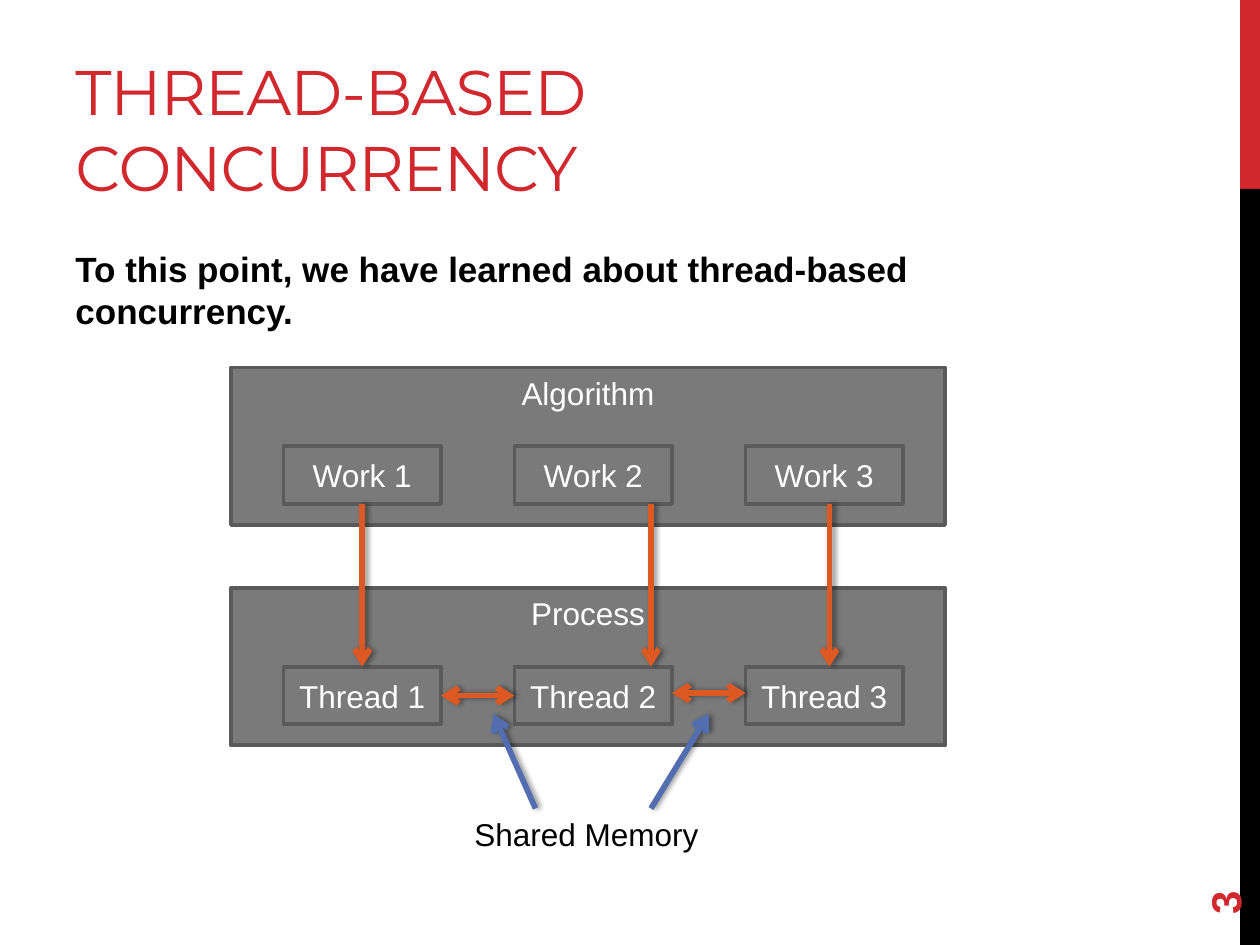
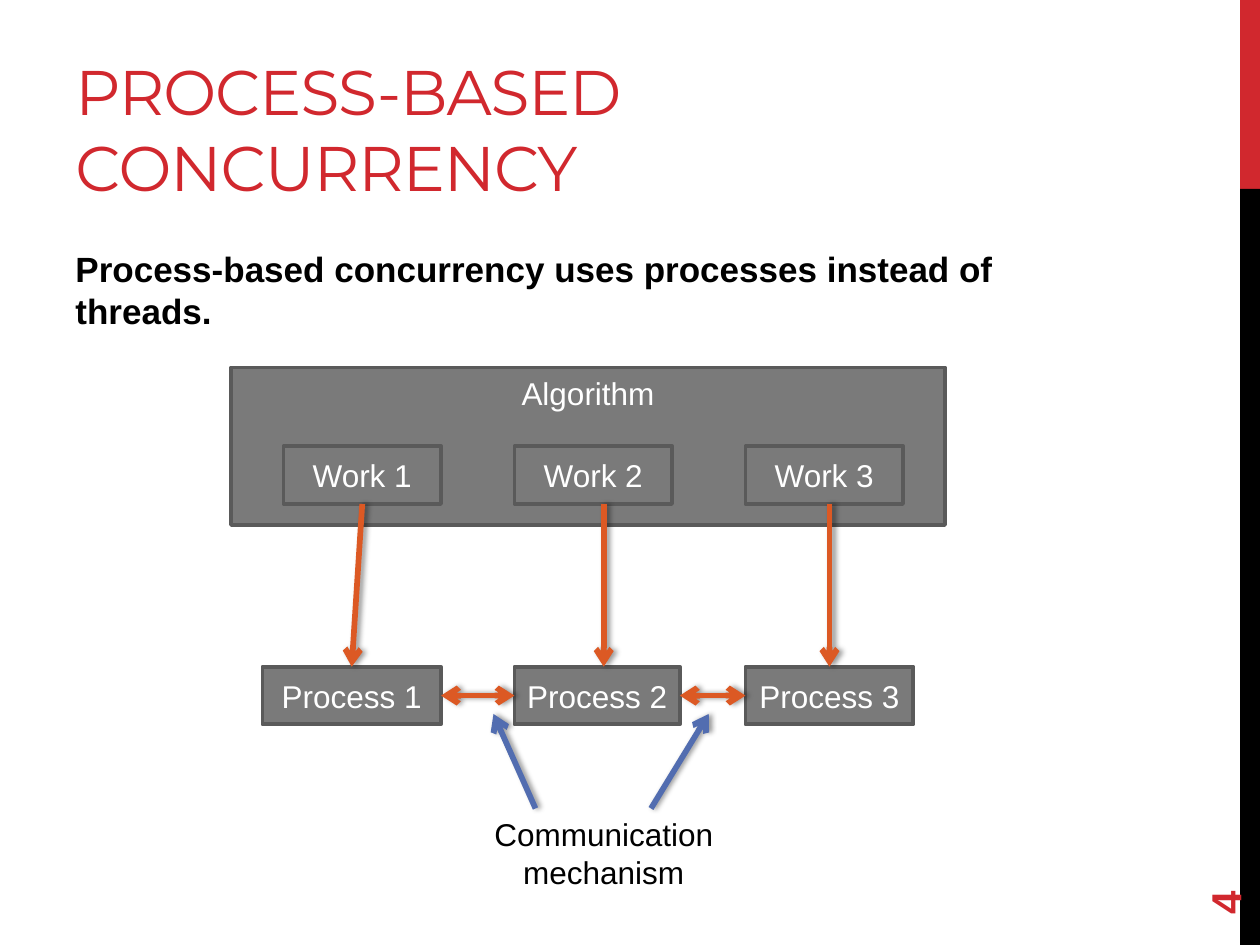
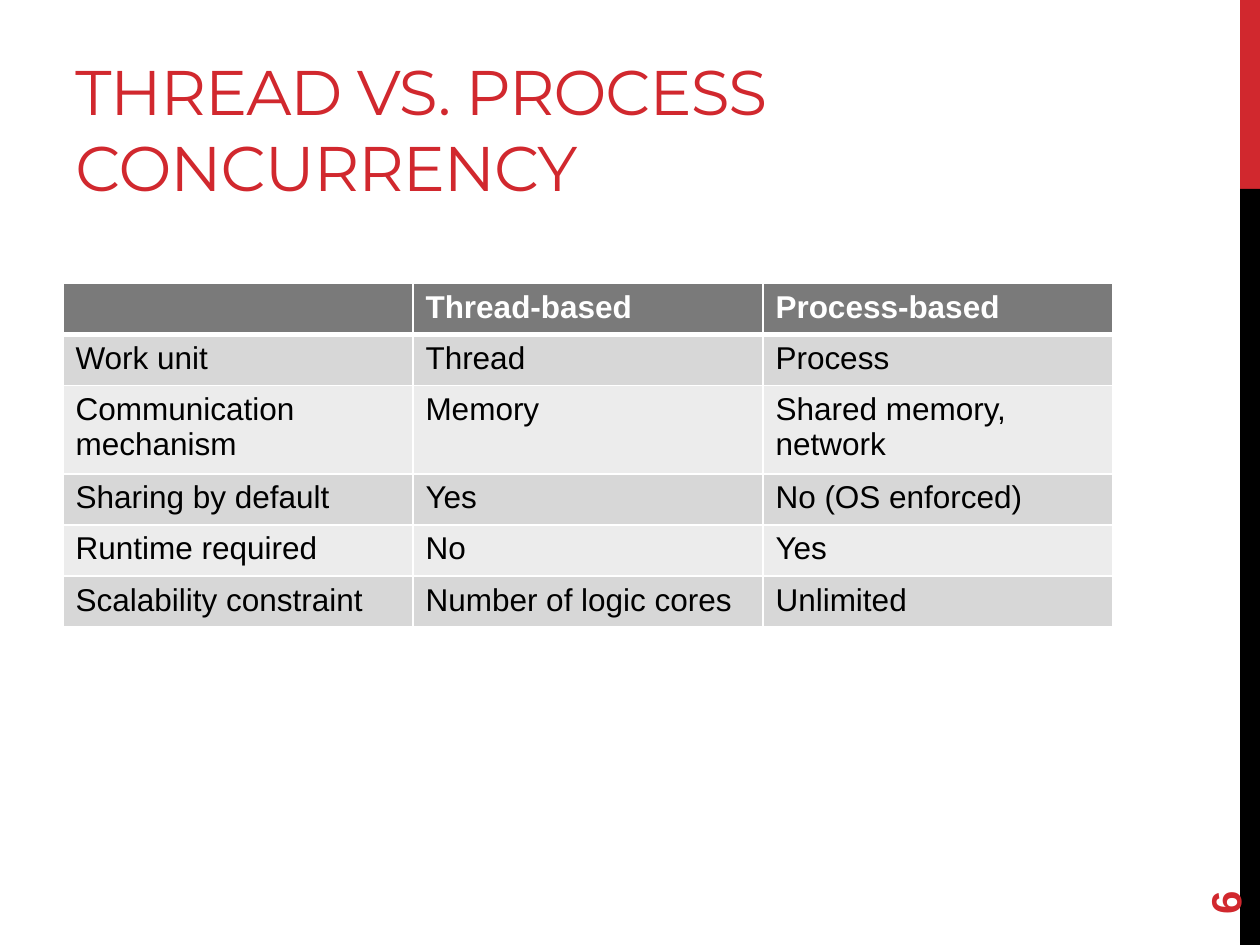
from dataclasses import dataclass
from lxml.etree import SubElement
from pptx import Presentation
from pptx.dml.color import RGBColor
from pptx.enum.shapes import MSO_CONNECTOR, MSO_SHAPE
from pptx.enum.text import MSO_ANCHOR, PP_ALIGN
from pptx.oxml.ns import qn
from pptx.util import Inches, Pt


@dataclass(frozen=True)
class Theme:
    red: str = "D1282E"
    black: str = "000000"
    white: str = "FFFFFF"
    gray: str = "7A7A7A"
    edge: str = "5A5A5A"
    orange: str = "DC5924"
    blue: str = "526DB0"
    bands: tuple = ("D7D7D7", "ECECEC")
    font: str = "Arial"
    display: str = "Montserrat"
    title: int = 36
    number: int = 24
    lead: int = 20
    text: int = 18
    border: float = 2.25
    arrow: float = 3.25


@dataclass(frozen=True)
class Box:
    left: float
    top: float
    width: float
    height: float

    def inner(self, left, top, width, height):
        return Box(self.left + left, self.top + top, width, height)

    def place(self):
        return [unit(n) for n in (self.left, self.top, self.width, self.height)]


THEME = Theme()
GRID = 24
PAGE = Box(0, 0, 10 * GRID, 7.5 * GRID)
PITCH = 44


def unit(count):
    return Inches(count / GRID)


def color(code):
    return RGBColor.from_string(code)


def write(frame, text, size=THEME.text, ink=THEME.black, bold=False,
          font=THEME.font, align=PP_ALIGN.LEFT, anchor=MSO_ANCHOR.TOP):
    frame.word_wrap = True
    frame.vertical_anchor = anchor
    line = frame.paragraphs[0]
    line.text = text
    line.alignment = align
    for run in line.runs:
        run.font.size = Pt(size)
        run.font.name = font
        run.font.bold = bold
        run.font.color.rgb = color(ink)
    return line


def label(slide, box, text, **style):
    shape = slide.shapes.add_textbox(*box.place())
    return shape, write(shape.text_frame, text, **style)


def block(slide, box, fill, edge=None):
    shape = slide.shapes.add_shape(MSO_SHAPE.RECTANGLE, *box.place())
    shape.shadow.inherit = False
    shape.fill.solid()
    shape.fill.fore_color.rgb = color(fill)
    if edge:
        shape.line.color.rgb = color(edge)
        shape.line.width = Pt(THEME.border)
    else:
        shape.line.fill.background()
    return shape


def node(slide, box, text, anchor=MSO_ANCHOR.MIDDLE):
    shape = block(slide, box, THEME.gray, THEME.edge)
    write(shape.text_frame, text, ink=THEME.white,
          align=PP_ALIGN.CENTER, anchor=anchor)


def arrow(slide, box, start, end, ink, double=False):
    points = [unit(n) for x, y in (start, end)
              for n in (box.left + x, box.top + y)]
    line = slide.shapes.add_connector(MSO_CONNECTOR.STRAIGHT, *points)
    line.line.color.rgb = color(ink)
    line.line.width = Pt(THEME.arrow)
    props = line._element.spPr
    stroke = props.find(qn("a:ln"))
    for tip in ("a:headEnd", "a:tailEnd") if double else ("a:tailEnd",):
        SubElement(stroke, qn(tip), type="arrow")
    effects = SubElement(props, qn("a:effectLst"))
    shade = SubElement(effects, qn("a:outerShdw"), blurRad=str(Pt(3.1)),
                       dist=str(Pt(1.8)), dir="0", rotWithShape="0")
    tint = SubElement(shade, qn("a:srgbClr"), val=THEME.black)
    SubElement(tint, qn("a:alpha"), val="40000")


def frame(deck, title, number):
    slide = deck.slides.add_slide(deck.slide_layouts[6])
    side = PAGE.inner(236.2, 0, 3.8, 36)
    block(slide, side, THEME.red)
    block(slide, side.inner(0, 36, 3.8, 144), THEME.black)
    _, line = label(slide, PAGE.inner(12, 4, 152, 36), title, size=THEME.title,
                    ink=THEME.red, font=THEME.display, anchor=MSO_ANCHOR.BOTTOM)
    line.runs[0].font._element.set("spc", "-60")
    page, _ = label(slide, PAGE.inner(216, 154.5, 34.5, 9.6), str(number),
                    size=THEME.number, ink=THEME.red, bold=True,
                    anchor=MSO_ANCHOR.MIDDLE)
    page.rotation = 270
    return slide


def lead(slide, box, text):
    _, line = label(slide, box, text, size=THEME.lead, bold=True)
    line.space_after = Pt(6)


def row(slide, box, name, spans):
    for index, (left, width) in enumerate(spans):
        node(slide, box.inner(left + index * PITCH, 15, width, 11),
             f"{name} {index + 1}")


def group(slide, box, title, name):
    node(slide, box, title, MSO_ANCHOR.TOP)
    row(slide, box, name, [(10, 30)] * 3)


def flow(slide, box, drops, links):
    for start, end in drops:
        arrow(slide, box, (start, 26), (end, 57), THEME.orange)
    for start, end, level in links:
        arrow(slide, box, (start, level), (end, level), THEME.orange, True)


def caption(slide, box, text, height, **style):
    label(slide, box.inner(44, 84, 54, height), text, **style)
    for start, end in ((80, 91), (58, 50)):
        arrow(slide, box, (start, 84), (end, 66), THEME.blue)


def edge(cell, side, width):
    line = SubElement(cell._tc.get_or_add_tcPr(), qn(f"a:{side}"),
                      w=str(Pt(width)))
    fill = SubElement(line, qn("a:solidFill"))
    SubElement(fill, qn("a:srgbClr"), val=THEME.white)


def grid(slide, box, rows):
    table = slide.shapes.add_table(len(rows), len(rows[0]), *box.place()).table
    for r, texts in enumerate(rows):
        head = r == 0
        for c, text in enumerate(texts):
            cell = table.cell(r, c)
            for side in ("lnL", "lnR", "lnT", "lnB"):
                thick = (head and side == "lnB") or (r == 1 and side == "lnT")
                edge(cell, side, 3 if thick else 1)
            cell.fill.solid()
            cell.fill.fore_color.rgb = color(
                THEME.gray if head else THEME.bands[(r - 1) % 2])
            if text:
                write(cell.text_frame, text, bold=head,
                      ink=THEME.white if head else THEME.black)


def threads(deck, box):
    slide = frame(deck, "THREAD-BASED CONCURRENCY", 3)
    lead(slide, PAGE.inner(12, 46, 200, 115),
         "To this point, we have learned about thread-based concurrency.")
    group(slide, box.inner(0, 0, 136, 30), "Algorithm", "Work")
    group(slide, box.inner(0, 42, 136, 30), "Process", "Thread")
    flow(slide, box, [(25, 25), (80, 80), (114, 114)],
         [(40, 54, 62.5), (84, 98, 62)])
    caption(slide, box, "Shared Memory", 10)


def tasks(deck, box):
    slide = frame(deck, "PROCESS-BASED CONCURRENCY", 4)
    lead(slide, PAGE.inner(12, 46, 200, 115),
         "Process-based concurrency uses processes instead of threads.")
    group(slide, box.inner(0, 0, 136, 30), "Algorithm", "Work")
    row(slide, box.inner(0, 42, 136, 30), "Process",
        [(6, 34), (10, 31.5), (10, 32)])
    flow(slide, box, [(25, 23), (71, 71), (114, 114)],
         [(40, 54, 62.5), (85.5, 98, 62.5)])
    caption(slide, box, "Communication mechanism", 17,
            align=PP_ALIGN.CENTER, anchor=MSO_ANCHOR.MIDDLE)


def versus(deck, box):
    slide = frame(deck, "THREAD VS. PROCESS CONCURRENCY", 6)
    grid(slide, box, [
        ("", "Thread-based", "Process-based"),
        ("Work unit", "Thread", "Process"),
        ("Communication mechanism", "Memory", "Shared memory, network"),
        ("Sharing by default", "Yes", "No (OS enforced)"),
        ("Runtime required", "No", "Yes"),
        ("Scalability constraint", "Number of logic cores", "Unlimited"),
    ])


def main():
    deck = Presentation()
    deck.slide_width, deck.slide_height = unit(PAGE.width), unit(PAGE.height)
    chart = PAGE.inner(44, 70, 136, 101)
    threads(deck, chart)
    tasks(deck, chart)
    versus(deck, PAGE.inner(12, 54, 200, 58.4))
    deck.save("out.pptx")


if __name__ == "__main__":
    main()
